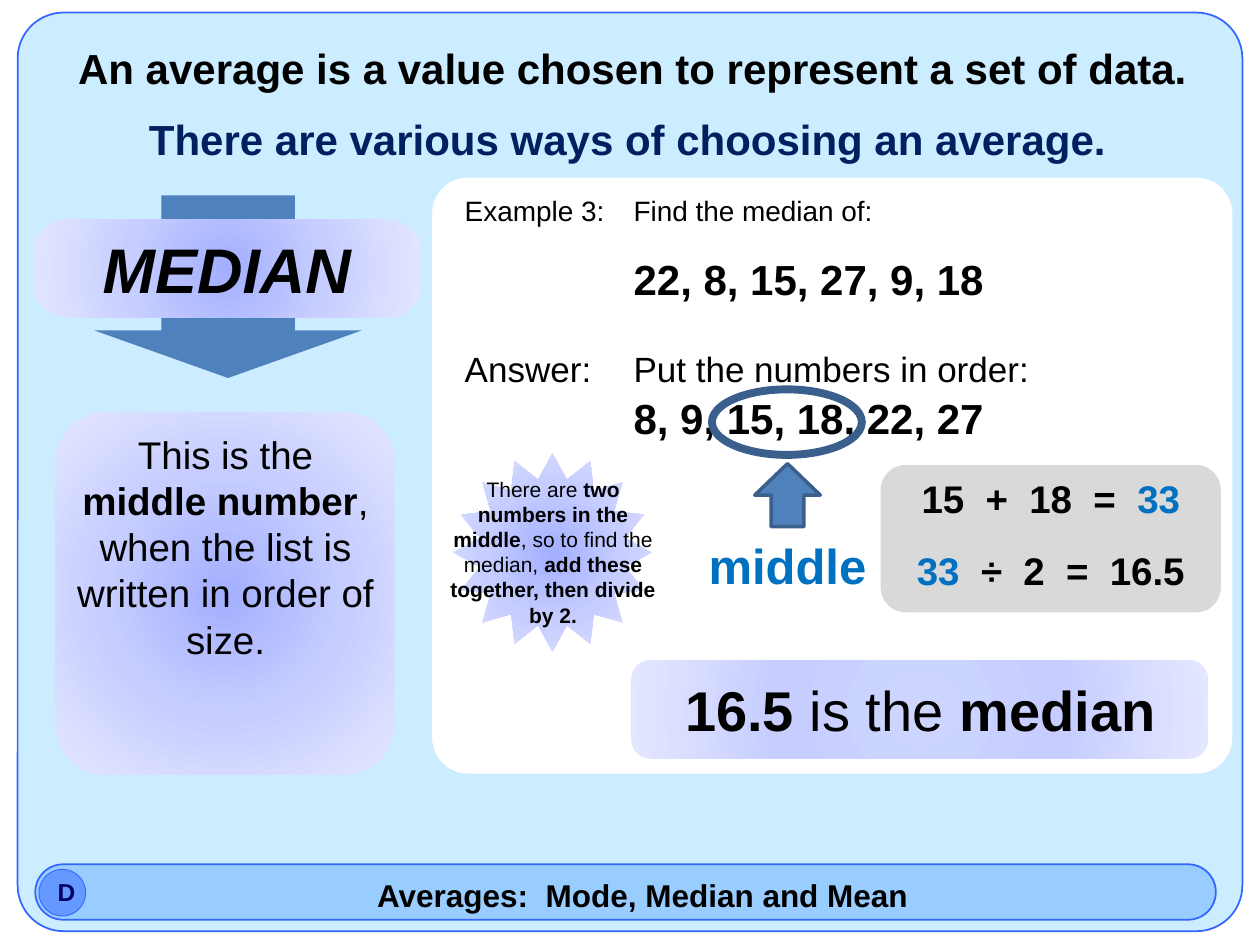
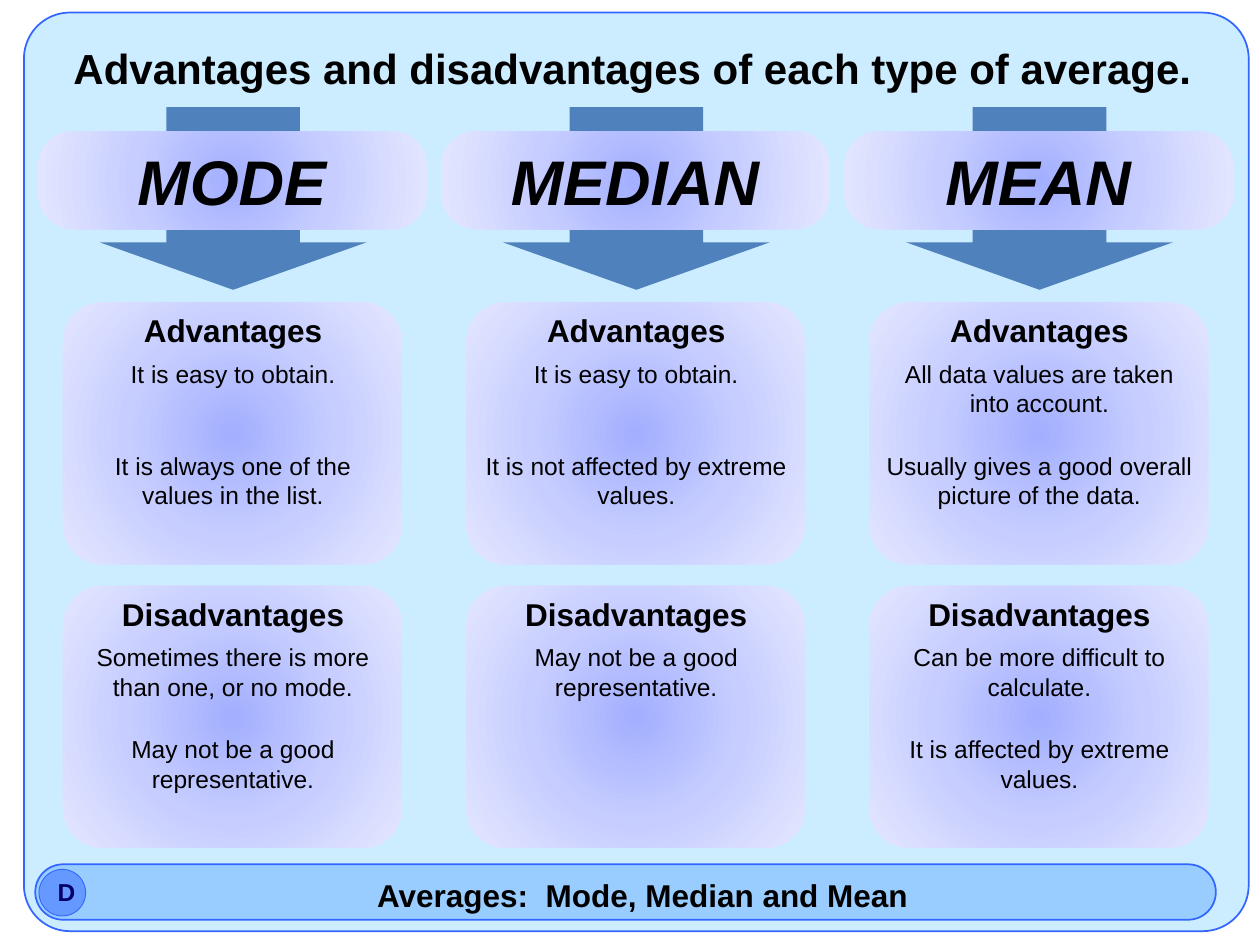
"""Build two slides on averages: the median, and a comparison of the three averages."""
from dataclasses import dataclass

from pptx import Presentation
from pptx.dml.color import RGBColor
from pptx.enum.shapes import MSO_SHAPE
from pptx.enum.text import MSO_AUTO_SIZE, PP_ALIGN
from pptx.oxml import parse_xml
from pptx.oxml.ns import nsdecls, qn
from pptx.util import Inches, Pt

COLOURS = {
    "black": "000000",
    "white": "FFFFFF",
    "panel": "CCECFF",
    "band": "99CCFF",
    "badge": "6699FF",
    "border": "3366FF",
    "badge_letter": "000066",
    "subtitle": "002060",
    "arrow": "4F81BD",
    "arrow_border": "3A5F8C",
    "highlight": "0070C0",
    "sum_box": "D9D9D9",
    "glow_centre": "A3AFFF",
    "pale_centre": "CDD5FF",
    "glow_middle": "C7CEFF",
    "glow_edge": "E4E7FF",
}
FONT = "Arial"
COLUMN_LEFT = 0.3
COLUMN_PITCH = 3.2
CARD_TOP = 2.4
CARD_PITCH = 2.25
POINT_PITCH = 0.73

COMPARISON = {
    "MODE": {
        "Advantages": ["It is easy to obtain.",
                       "It is always one of the values in the list."],
        "Disadvantages": ["Sometimes there is more than one, or no mode.",
                          "May not be a good representative."],
    },
    "MEDIAN": {
        "Advantages": ["It is easy to obtain.",
                       "It is not affected by extreme values."],
        "Disadvantages": ["May not be a good representative."],
    },
    "MEAN": {
        "Advantages": ["All data values are taken into account.",
                       "Usually gives a good overall picture of the data."],
        "Disadvantages": ["Can be more difficult to calculate.",
                          "It is affected by extreme values."],
    },
}


@dataclass
class Run:
    """A stretch of text in one style."""
    text: str
    bold: bool = False
    colour: str = "black"
    italic: bool = False


def rgb(name):
    """Return the named colour."""
    return RGBColor.from_string(COLOURS[name])


def add_text(slide, at, size, *runs, align=PP_ALIGN.CENTER):
    """Add a wrapping text box with one paragraph made of runs."""
    shape = slide.shapes.add_textbox(*map(Inches, at))
    frame = shape.text_frame
    frame.word_wrap = True
    frame.auto_size = MSO_AUTO_SIZE.SHAPE_TO_FIT_TEXT
    paragraph = frame.paragraphs[0]
    paragraph.alignment = align
    for item in runs:
        run = paragraph.add_run()
        run.text = item.text
        run.font.name = FONT
        run.font.size = Pt(size)
        run.font.bold = item.bold
        run.font.italic = item.italic
        run.font.color.rgb = rgb(item.colour)


def add_shape(slide, kind, at, fill=None, border=None, width=1, corner=None):
    """Add a flat preset shape with an optional fill, border and corner size."""
    shape = slide.shapes.add_shape(kind, *map(Inches, at))
    shape.shadow.inherit = False
    if fill:
        shape.fill.solid()
        shape.fill.fore_color.rgb = rgb(fill)
    else:
        shape.fill.background()
    if border:
        shape.line.color.rgb = rgb(border)
        shape.line.width = Pt(width)
    else:
        shape.line.fill.background()
    if corner is not None:
        shape.adjustments[0] = corner
    return shape


def add_glow(slide, kind, at, corner=None, centre="glow_centre"):
    """Add a shape whose fill fades outward from its centre."""
    shape = add_shape(slide, kind, at, fill=centre, corner=corner)
    stops = "".join(
        f'<a:gs pos="{position}"><a:srgbClr val="{COLOURS[name]}"/></a:gs>'
        for position, name in ((0, centre), (50000, "glow_middle"), (100000, "glow_edge")))
    gradient = parse_xml(
        f'<a:gradFill {nsdecls("a")} rotWithShape="1"><a:gsLst>{stops}</a:gsLst>'
        '<a:path path="circle"><a:fillToRect l="50000" t="50000" r="50000" b="50000"/>'
        '</a:path></a:gradFill>')
    properties = shape._element.spPr
    properties.replace(properties.find(qn("a:solidFill")), gradient)


def add_card(slide, left, top, height):
    """Add a rounded glowing card."""
    add_glow(slide, MSO_SHAPE.ROUNDED_RECTANGLE, (left, top, 2.69, height), 0.15)


def add_heading(slide, left, top, name):
    """Add the name of an average on a plate across a down arrow."""
    arrow = add_shape(slide, MSO_SHAPE.DOWN_ARROW, (left + 0.49, top - 0.19, 2.12, 1.45), "arrow")
    arrow.adjustments[1] = 0.26
    add_glow(slide, MSO_SHAPE.ROUNDED_RECTANGLE, (left, top, 3.09, 0.78), 0.36)
    add_text(slide, (left + 0.03, top + 0.04, 3.02, 0.71), 36, Run(name, True, italic=True))


def add_frame(presentation, left, title):
    """Add a slide with the background panel, title, footer band and badge."""
    slide = presentation.slides.add_slide(presentation.slide_layouts[6])
    add_shape(slide, MSO_SHAPE.ROUNDED_RECTANGLE, (left, 0.1, 9.72, 7.29),
              "panel", "border", corner=0.05)
    add_shape(slide, MSO_SHAPE.ROUNDED_RECTANGLE, (0.28, 6.86, 9.37, 0.44),
              "band", "border", corner=0.5)
    add_text(slide, (0.71, 6.9, 8.78, 0.4), 18, Run("Averages:  Mode, Median and Mean", True))
    add_shape(slide, MSO_SHAPE.OVAL, (0.31, 6.9, 0.37, 0.37), "badge", "border", 0.5)
    add_text(slide, (0.36, 6.91, 0.28, 0.34), 14, Run("D", True, "badge_letter"))
    add_text(slide, (0.25, 0.29, 9.54, 0.5), 24, Run(title, True))
    return slide


def add_example(slide):
    """Add the white panel with the question and the ordered numbers."""
    add_shape(slide, MSO_SHAPE.ROUNDED_RECTANGLE, (3.43, 1.41, 6.35, 4.73), "white", corner=0.06)
    rows = (
        (3.59, 1.49, 16, "Example 3:", False),
        (4.93, 1.49, 16, "Find the median of:", False),
        (4.93, 1.96, 24, "22, 8, 15, 27, 9, 18", True),
        (3.59, 2.71, 20, "Answer:", False),
        (4.93, 2.71, 20, "Put the numbers in order:", False),
        (4.93, 3.07, 24, "8, 9, 15, 18, 22, 27", True),
    )
    for left, top, size, text, bold in rows:
        width = 1.56 if left < 4 else 4.72
        add_text(slide, (left, top, width, 0.4), size, Run(text, bold), align=PP_ALIGN.LEFT)


def add_working(slide):
    """Add the marked middle numbers, the hint, the sums and the result."""
    add_shape(slide, MSO_SHAPE.UP_ARROW, (5.99, 3.68, 0.52, 0.5), "arrow", "arrow_border", 2)
    add_text(slide, (5.51, 4.2, 1.48, 0.57), 28, Run("middle", True, "highlight"))
    add_shape(slide, MSO_SHAPE.OVAL, (5.65, 3.09, 1.19, 0.52), border="arrow_border", width=4.5)

    add_glow(slide, MSO_SHAPE.STAR_16_POINT, (3.6, 3.6, 1.57, 1.57))
    add_text(slide, (3.46, 3.73, 1.86, 1.31), 12,
             Run("There are "), Run("two numbers in the middle", True),
             Run(", so to find the median, "),
             Run("add these together, then divide by 2.", True))

    add_shape(slide, MSO_SHAPE.ROUNDED_RECTANGLE, (6.99, 3.69, 2.7, 1.17), "sum_box", corner=0.17)
    add_text(slide, (7.03, 3.72, 2.62, 0.47), 22,
             Run("15  +  18  =  ", True), Run("33", True, "highlight"))
    add_text(slide, (7.03, 4.29, 2.62, 0.47), 22,
             Run("33", True, "highlight"), Run("  ÷  2  =  16.5", True))

    add_glow(slide, MSO_SHAPE.ROUNDED_RECTANGLE, (5.01, 5.24, 4.58, 0.78), 0.19, "pale_centre")
    add_text(slide, (5.14, 5.31, 4.33, 0.64), 32,
             Run("16.5 ", True), Run("is the "), Run("median", True))


def build_median_slide(presentation):
    """Build the slide that explains the median."""
    slide = add_frame(presentation, 0.14, "An average is a value chosen to represent a set of data.")
    add_text(slide, (0.22, 0.85, 9.52, 0.5), 24,
             Run("There are various ways of choosing an average.", True, "subtitle"))
    add_heading(slide, 0.26, 1.74, "MEDIAN")
    add_card(slide, 0.44, 3.27, 2.88)
    add_text(slide, (0.47, 3.37, 2.64, 1.95), 22,
             Run("This is the "), Run("middle number", True),
             Run(", when the list is written in order of size."))
    add_example(slide)
    add_working(slide)


def build_comparison_slide(presentation):
    """Build the slide that compares the three averages in columns."""
    slide = add_frame(presentation, 0.19, "Advantages and disadvantages of each type of average.")
    for column, (name, cards) in enumerate(COMPARISON.items()):
        left = COLUMN_LEFT + column * COLUMN_PITCH
        add_heading(slide, left, 1.04, name)
        for row, (label, points) in enumerate(cards.items()):
            top = CARD_TOP + row * CARD_PITCH
            add_card(slide, left + 0.2, top, 2.08)
            add_text(slide, (left + 0.23, top + 0.02, 2.64, 0.4), 18, Run(label, True))
            for index, point in enumerate(points):
                point_top = top + 0.4 + index * POINT_PITCH
                add_text(slide, (left + 0.23, point_top, 2.64, 0.57), 14, Run(point))


def main():
    """Build and save the presentation."""
    presentation = Presentation()
    presentation.slide_width = Inches(10)
    presentation.slide_height = Inches(7.5)
    build_median_slide(presentation)
    build_comparison_slide(presentation)
    presentation.save("out.pptx")


if __name__ == "__main__":
    main()
